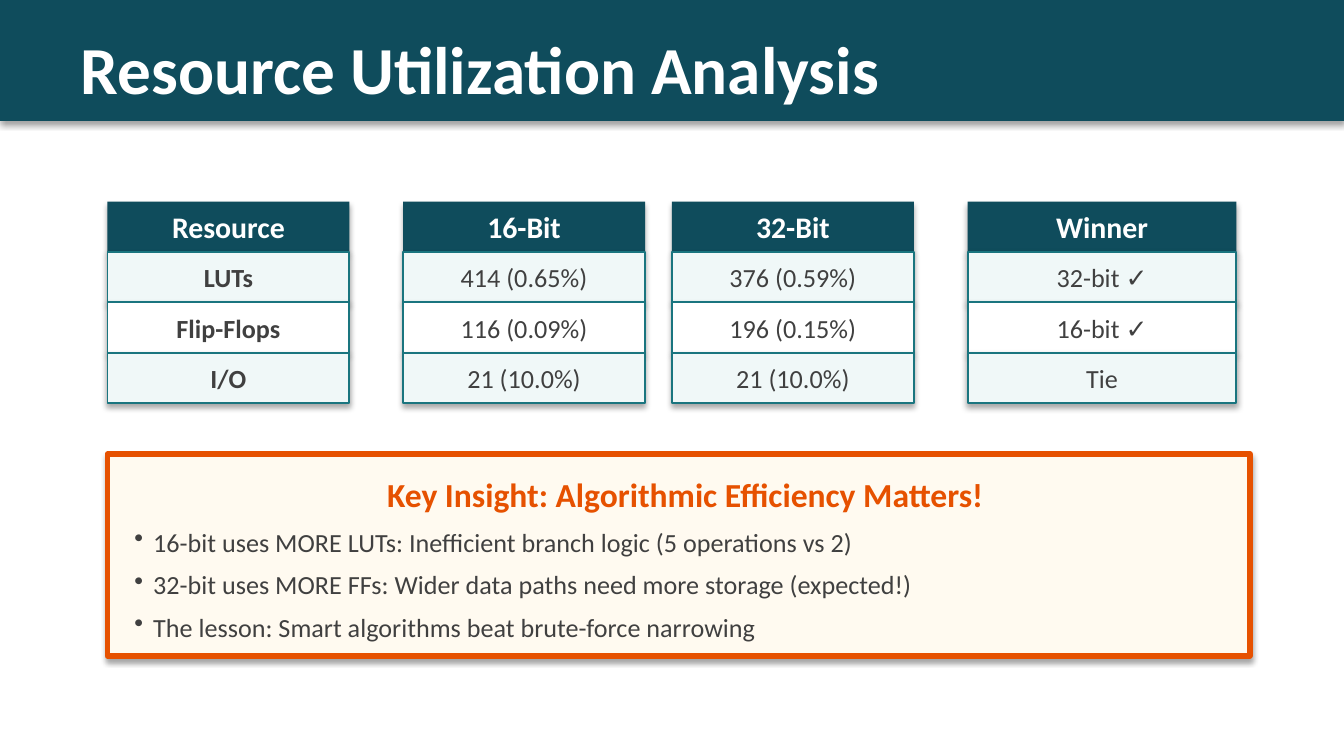
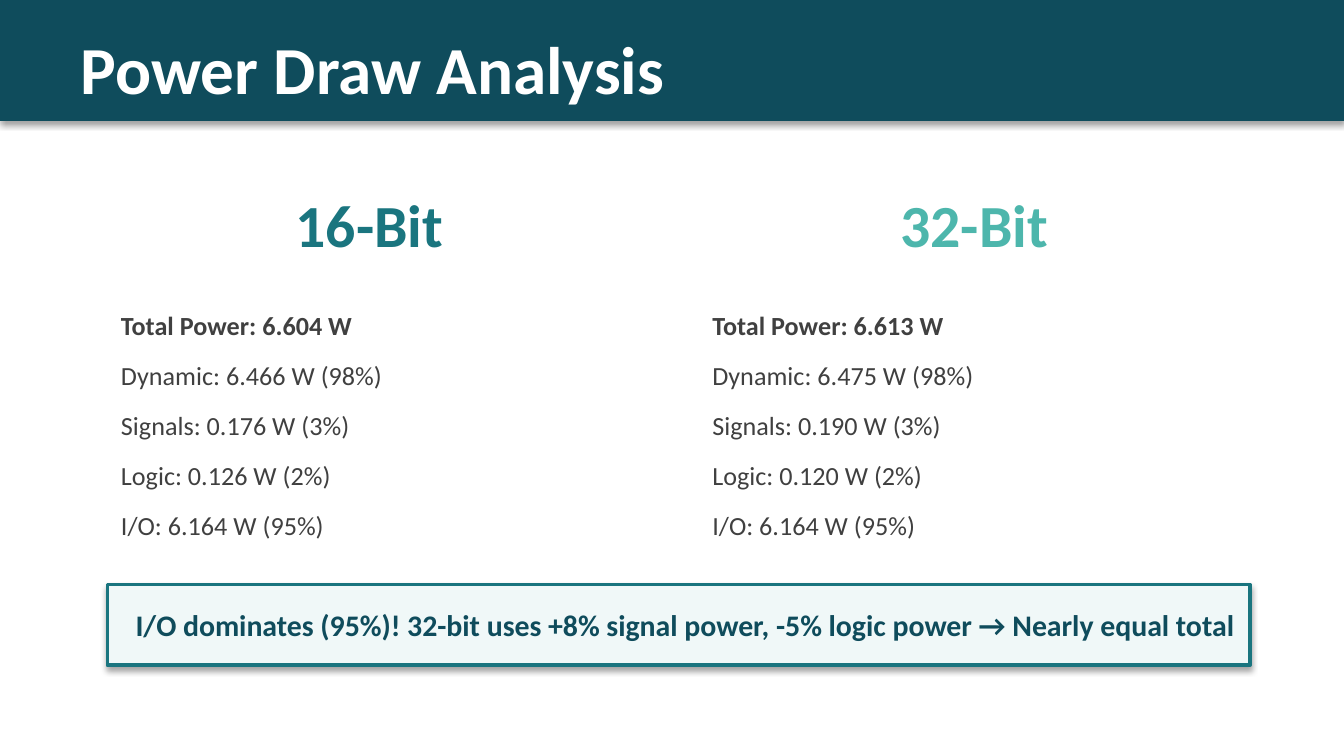
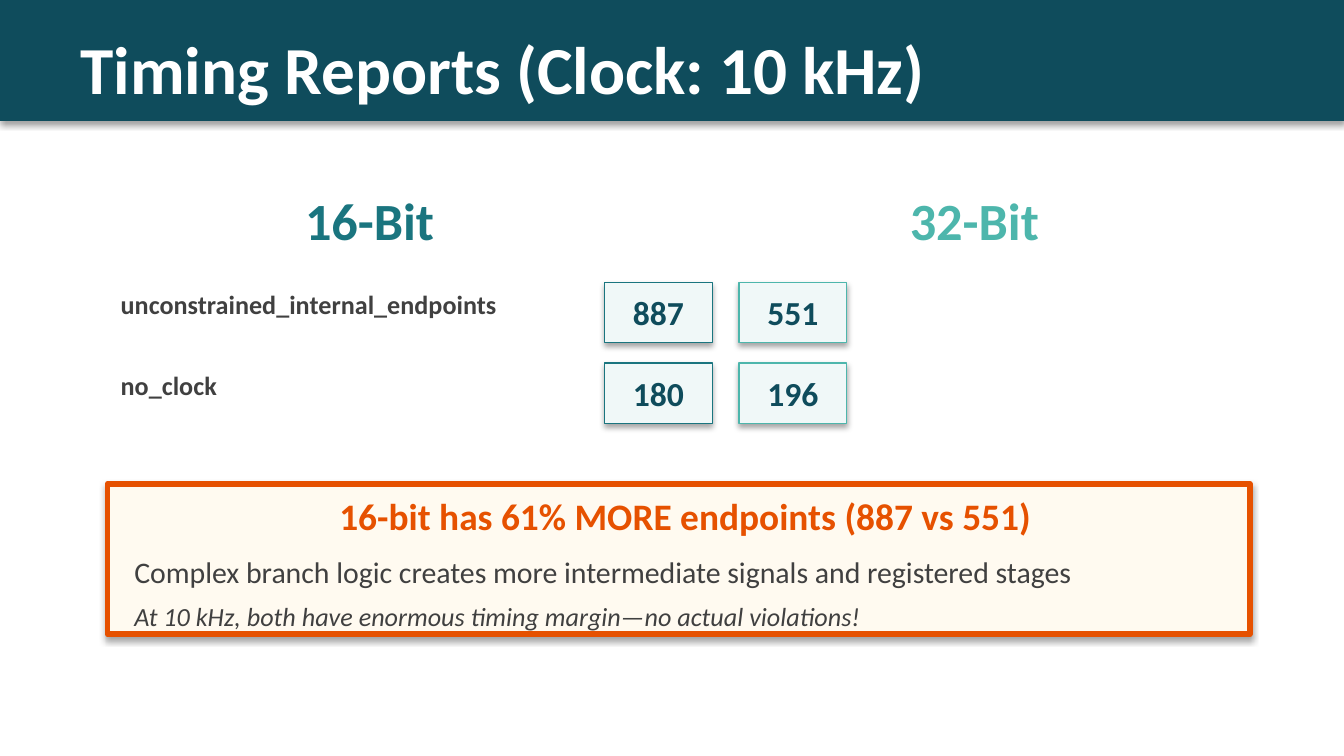
"""Build three slides comparing the 16-bit and 32-bit designs."""
from dataclasses import dataclass
from typing import Optional

from lxml import etree
from pptx import Presentation
from pptx.dml.color import RGBColor
from pptx.enum.shapes import MSO_SHAPE
from pptx.enum.text import MSO_ANCHOR, MSO_AUTO_SIZE, PP_ALIGN
from pptx.oxml.ns import qn
from pptx.util import Inches, Pt

RECTANGLE = MSO_SHAPE.RECTANGLE
TOP, MIDDLE = MSO_ANCHOR.TOP, MSO_ANCHOR.MIDDLE
LEFT, CENTER = PP_ALIGN.LEFT, PP_ALIGN.CENTER
FIXED_SIZE = MSO_AUTO_SIZE.NONE

FONT = "Calibri"
NAVY, TEAL, MINT = "0F4C5C", "1A757F", "4DB6AC"
PALE, CREAM, WHITE = "F0F8F8", "FFFAF0", "FFFFFF"
ORANGE, INK = "E65100", "404040"

COMPARISON_LAYOUT, TITLE_ONLY_LAYOUT = 4, 5
HEADING_SLOTS, LIST_SLOTS = (1, 3), (2, 4)
DESIGNS = (("16-Bit", TEAL), ("32-Bit", MINT))
MARGIN = 0.8
CALLOUT_WIDTH = 8.5
ROW_HEIGHT = 1.5 / 4
BULLET_INDENT = Inches(0.14)


@dataclass(frozen=True)
class Line:
    """One paragraph with its format."""
    text: str
    size: float
    color: str = INK
    bold: bool = False
    italic: bool = False
    align: PP_ALIGN = LEFT
    before: float = 0
    bullet: Optional[str] = None


@dataclass(frozen=True)
class Box:
    """A position and size in inches."""
    left: float
    top: float
    width: float
    height: float

    def lengths(self) -> tuple:
        """Return the four values as lengths."""
        return tuple(Inches(v) for v in (self.left, self.top, self.width, self.height))


@dataclass(frozen=True)
class Column:
    """A column of the resource comparison."""
    left: float
    width: float
    heading: str
    values: tuple


RESOURCE_COLUMNS = (
    Column(0.8, 1.8, "Resource", ("LUTs", "Flip-Flops", "I/O")),
    Column(3, 1.8, "16-Bit", ("414 (0.65%)", "116 (0.09%)", "21 (10.0%)")),
    Column(5, 1.8, "32-Bit", ("376 (0.59%)", "196 (0.15%)", "21 (10.0%)")),
    Column(7.2, 2, "Winner", ("32-bit ✓", "16-bit ✓", "Tie")),
)
POWER_LISTS = (
    ("Total Power: 6.604 W", "Dynamic: 6.466 W (98%)", "Signals: 0.176 W (3%)",
     "Logic: 0.126 W (2%)", "I/O: 6.164 W (95%)"),
    ("Total Power: 6.613 W", "Dynamic: 6.475 W (98%)", "Signals: 0.190 W (3%)",
     "Logic: 0.120 W (2%)", "I/O: 6.164 W (95%)"),
)
TIMING_CHECKS = (
    ("unconstrained_internal_endpoints", ("887", "551")),
    ("no_clock", ("180", "196")),
)


def rgb(color: str) -> RGBColor:
    """Turn a hex string into a colour."""
    return RGBColor.from_string(color)


def set_bullet(paragraph, bullet: Optional[str]) -> None:
    """Give a paragraph a hanging bullet, or none at all."""
    properties = paragraph._p.get_or_add_pPr()
    indent = BULLET_INDENT if bullet else 0
    properties.set("marL", str(indent))
    properties.set("indent", str(-indent))
    if bullet:
        etree.SubElement(properties, qn("a:buChar")).set("char", bullet)
    else:
        etree.SubElement(properties, qn("a:buNone"))


def write(frame, lines: list[Line], anchor: MSO_ANCHOR = TOP) -> None:
    """Fill a text frame with formatted lines."""
    frame.word_wrap = True
    frame.auto_size = FIXED_SIZE
    frame.vertical_anchor = anchor
    for index, line in enumerate(lines):
        paragraph = frame.add_paragraph() if index else frame.paragraphs[0]
        paragraph.text = line.text
        set_bullet(paragraph, line.bullet)
        paragraph.alignment = line.align
        paragraph.space_before = Pt(line.before)
        font = paragraph.font
        font.name, font.size = FONT, Pt(line.size)
        font.bold, font.italic = line.bold, line.italic
        font.color.rgb = rgb(line.color)


def fill_placeholder(placeholder, box: Box, lines: list[Line]) -> None:
    """Move a placeholder and write its lines."""
    placeholder.left, placeholder.top, placeholder.width, placeholder.height = box.lengths()
    write(placeholder.text_frame, lines)


def add_panel(slide, box: Box, fill: str, border: Optional[str] = None,
              border_width: float = 1):
    """Add a rectangle that keeps the theme's soft shadow."""
    panel = slide.shapes.add_shape(RECTANGLE, *box.lengths())
    panel.fill.solid()
    panel.fill.fore_color.rgb = rgb(fill)
    if border:
        panel.line.color.rgb = rgb(border)
        panel.line.width = Pt(border_width)
    else:
        panel.line.fill.background()
    return panel


def add_cell(slide, box: Box, line: Line, fill: str, border: Optional[str] = None,
             border_width: float = 1) -> None:
    """Add a rectangle with one line in its middle."""
    cell = add_panel(slide, box, fill, border, border_width)
    write(cell.text_frame, [line], MIDDLE)


def add_callout(slide, top: float, height: float, lines: list[Line], fill: str = CREAM,
                border: str = ORANGE, border_width: float = 3, inset: float = 0.1) -> None:
    """Add the wide conclusion box."""
    callout = add_panel(slide, Box(MARGIN, top, CALLOUT_WIDTH, height),
                        fill, border, border_width)
    callout.text_frame.margin_left = Inches(0.2)
    callout.text_frame.margin_top = Inches(inset)
    write(callout.text_frame, lines, MIDDLE)


def new_slide(deck, layout: int, title: str):
    """Add a slide with the title on its dark band."""
    slide = deck.slides.add_slide(deck.slide_layouts[layout])
    band = add_panel(slide, Box(0, 0, 10, 0.9), NAVY)
    slide.shapes.title._element.addprevious(band._element)
    fill_placeholder(slide.shapes.title, Box(0.5, 0.15, 9, 0.6),
                     [Line(title, 36, WHITE, bold=True)])
    return slide


def fill_headings(slide, size: float, height: float) -> None:
    """Write the two design names side by side."""
    for index, (slot, (design, color)) in enumerate(zip(HEADING_SLOTS, DESIGNS)):
        fill_placeholder(slide.placeholders[slot], Box(0.5 + 4.5 * index, 1.35, 4.5, height),
                         [Line(design, size, color, bold=True, align=CENTER)])


def build_resources(deck) -> None:
    """Build the resource comparison."""
    slide = new_slide(deck, TITLE_ONLY_LAYOUT, "Resource Utilization Analysis")
    table_top = 1.5
    for index, column in enumerate(RESOURCE_COLUMNS):
        add_cell(slide, Box(column.left, table_top, column.width, ROW_HEIGHT),
                 Line(column.heading, 16, WHITE, bold=True, align=CENTER), NAVY)
        for row, value in enumerate(column.values, start=1):
            add_cell(slide,
                     Box(column.left, table_top + row * ROW_HEIGHT, column.width, ROW_HEIGHT),
                     Line(value, 14, bold=index == 0, align=CENTER),
                     PALE if row % 2 else WHITE, TEAL)
    lessons = (
        "16-bit uses MORE LUTs: Inefficient branch logic (5 operations vs 2)",
        "32-bit uses MORE FFs: Wider data paths need more storage (expected!)",
        "The lesson: Smart algorithms beat brute-force narrowing",
    )
    headline = Line("Key Insight: Algorithmic Efficiency Matters!", 18, ORANGE,
                    bold=True, align=CENTER)
    add_callout(slide, 3.38, 1.5,
                [headline] + [Line(text, 14, before=6, bullet="•") for text in lessons])


def build_power(deck) -> None:
    """Build the power comparison."""
    slide = new_slide(deck, COMPARISON_LAYOUT, "Power Draw Analysis")
    fill_headings(slide, 32, 0.75)
    for index, (slot, figures) in enumerate(zip(LIST_SLOTS, POWER_LISTS)):
        lines = [Line(text, 14, bold=row == 0, before=10 if row else 0)
                 for row, text in enumerate(figures)]
        fill_placeholder(slide.placeholders[slot],
                         Box(MARGIN + 4.4 * index, 2.25, 4, 1.8), lines)
    conclusion = ("I/O dominates (95%)! 32-bit uses +8% signal power, "
                  "-5% logic power → Nearly equal total")
    add_callout(slide, 4.35, 0.6, [Line(conclusion, 16, NAVY, bold=True, align=CENTER)],
                PALE, TEAL, 2, inset=0.05)


def build_timing(deck) -> None:
    """Build the timing comparison."""
    slide = new_slide(deck, COMPARISON_LAYOUT, "Timing Reports (Clock: 10 kHz)")
    fill_headings(slide, 28, 0.45)
    for slot in LIST_SLOTS:
        unused = slide.placeholders[slot]._element
        unused.getparent().remove(unused)
    for row, (check, counts) in enumerate(TIMING_CHECKS):
        top = 2.1 + 0.6 * row
        label = slide.shapes.add_textbox(*Box(MARGIN, top, 3.5, 0.45).lengths())
        write(label.text_frame, [Line(check, 14, bold=True)])
        for index, (count, (_, color)) in enumerate(zip(counts, DESIGNS)):
            add_cell(slide, Box(4.5 + index, top, 0.8, 0.45),
                     Line(count, 18, NAVY, bold=True, align=CENTER), PALE, color, 0.75)
    add_callout(slide, 3.6, 1.12, [
        Line("16-bit has 61% MORE endpoints (887 vs 551)", 20, ORANGE,
             bold=True, align=CENTER),
        Line("Complex branch logic creates more intermediate signals and registered stages",
             16, before=8),
        Line("At 10 kHz, both have enormous timing margin—no actual violations!",
             14, italic=True, before=6),
    ])


def main() -> None:
    """Build and save the deck."""
    deck = Presentation()
    deck.slide_width = Inches(10)
    deck.slide_height = deck.slide_width * 9 // 16
    build_resources(deck)
    build_power(deck)
    build_timing(deck)
    deck.save("out.pptx")


if __name__ == "__main__":
    main()
